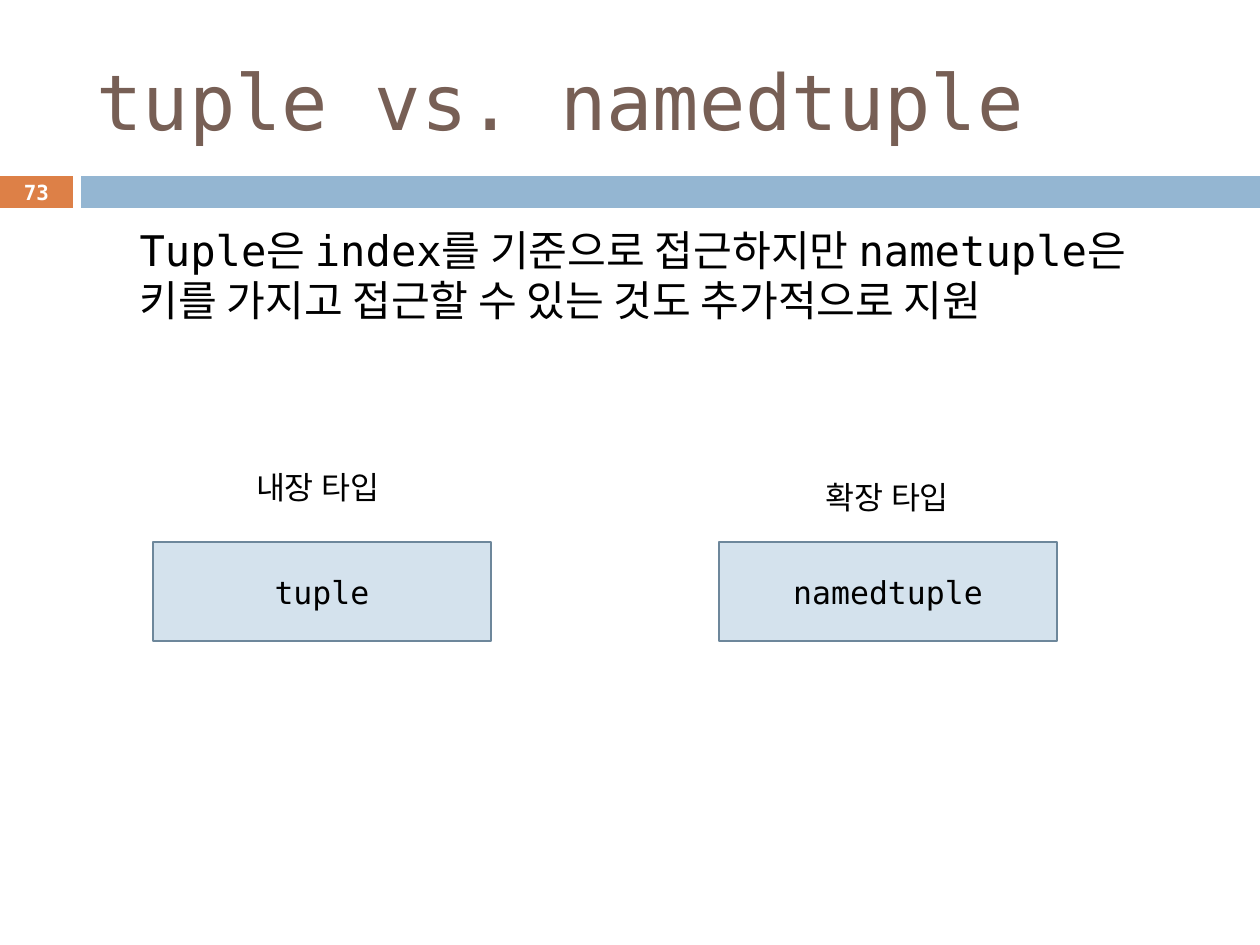
from dataclasses import dataclass

from pptx import Presentation
from pptx import util as u
from pptx.dml.color import RGBColor
from pptx.enum import shapes, text

PX_PER_INCH = 126


@dataclass(frozen=True)
class Theme:
    font: str = "DejaVu Sans Mono"
    brown: str = "775F55"
    black: str = "000000"
    white: str = "FFFFFF"
    orange: str = "DD8047"
    blue: str = "94B6D2"
    pale_blue: str = "D4E2ED"
    outline: str = "6D879B"
    title_size: float = 44
    body_size: float = 24.1
    label_size: float = 18
    number_size: float = 11.9


THEME = Theme()


def px(length):
    return u.Inches(length / PX_PER_INCH)


def write(shape, words, size=THEME.label_size, color=THEME.black, bold=False,
          align=text.PP_ALIGN.CENTER, anchor=text.MSO_ANCHOR.MIDDLE):
    frame = shape.text_frame
    frame.word_wrap = True
    frame.auto_size = text.MSO_AUTO_SIZE.NONE
    frame.vertical_anchor = anchor
    paragraph = frame.paragraphs[0]
    paragraph.alignment = align
    run = paragraph.add_run()
    run.text = words
    run.font.name = THEME.font
    run.font.size = u.Pt(size)
    run.font.bold = bold
    run.font.color.rgb = RGBColor.from_string(color)


def add_rectangle(slide, left, top, width, height, fill, outline=None):
    rectangle = slide.shapes.add_shape(
        shapes.MSO_SHAPE.RECTANGLE, px(left), px(top), px(width), px(height))
    rectangle.shadow.inherit = False
    rectangle.fill.solid()
    rectangle.fill.fore_color.rgb = RGBColor.from_string(fill)
    if outline:
        rectangle.line.color.rgb = RGBColor.from_string(outline)
        rectangle.line.width = u.Pt(1.5)
    else:
        rectangle.line.fill.background()
    return rectangle


def add_text_box(slide, left, top, width, height):
    return slide.shapes.add_textbox(px(left), px(top), px(width), px(height))


def place_title(slide, words, left, top, width, height):
    title = slide.shapes.title
    title.left, title.top = px(left), px(top)
    title.width, title.height = px(width), px(height)
    write(title, words, size=THEME.title_size, color=THEME.brown,
          align=text.PP_ALIGN.LEFT)


def add_number_band(slide, number, left, top, width, height):
    number_width, gap = 73, 8
    tile = add_rectangle(slide, left, top, number_width, height, THEME.orange)
    tile.text_frame.margin_top = tile.text_frame.margin_bottom = 0
    write(tile, number, size=THEME.number_size, color=THEME.white, bold=True)
    band_offset = number_width + gap
    add_rectangle(slide, left + band_offset, top, width - band_offset, height,
                  THEME.blue)


def add_explanation(slide, words, left, top, width, height):
    explanation = add_text_box(slide, left, top, width, height)
    explanation.text_frame.margin_left = u.Inches(0.6)
    write(explanation, words, size=THEME.body_size,
          align=text.PP_ALIGN.LEFT, anchor=text.MSO_ANCHOR.TOP)


def add_type_card(slide, kind, type_name, left, top, width, height,
                  label_left, label_top):
    """Draw a type's box with its kind above; label offsets are from the box."""
    box = add_rectangle(slide, left, top, width, height, THEME.pale_blue,
                        THEME.outline)
    write(box, type_name)
    label = add_text_box(slide, left + label_left, top + label_top, 287, 50)
    write(label, kind, anchor=text.MSO_ANCHOR.TOP)


def main():
    deck = Presentation()
    deck.slide_width, deck.slide_height = px(1260), px(945)
    slide = deck.slides.add_slide(deck.slide_layouts.get_by_name("Title Only"))

    add_number_band(slide, "73", 0, 176, 1260, 32)
    place_title(slide, "tuple vs. namedtuple", 84, 32, 1124, 136)
    add_explanation(
        slide,
        "Tuple은 index를 기준으로 접근하지만 nametuple은 "
        "키를 가지고 접근할 수 있는 것도 추가적으로 지원",
        64, 218, 1134, 156)
    add_type_card(slide, "내장 타입", "tuple", 153, 542, 338, 99,
                  label_left=21, label_top=-80)
    add_type_card(slide, "확장 타입", "namedtuple", 719, 542, 338, 99,
                  label_left=25, label_top=-70)

    deck.save("out.pptx")


if __name__ == "__main__":
    main()
